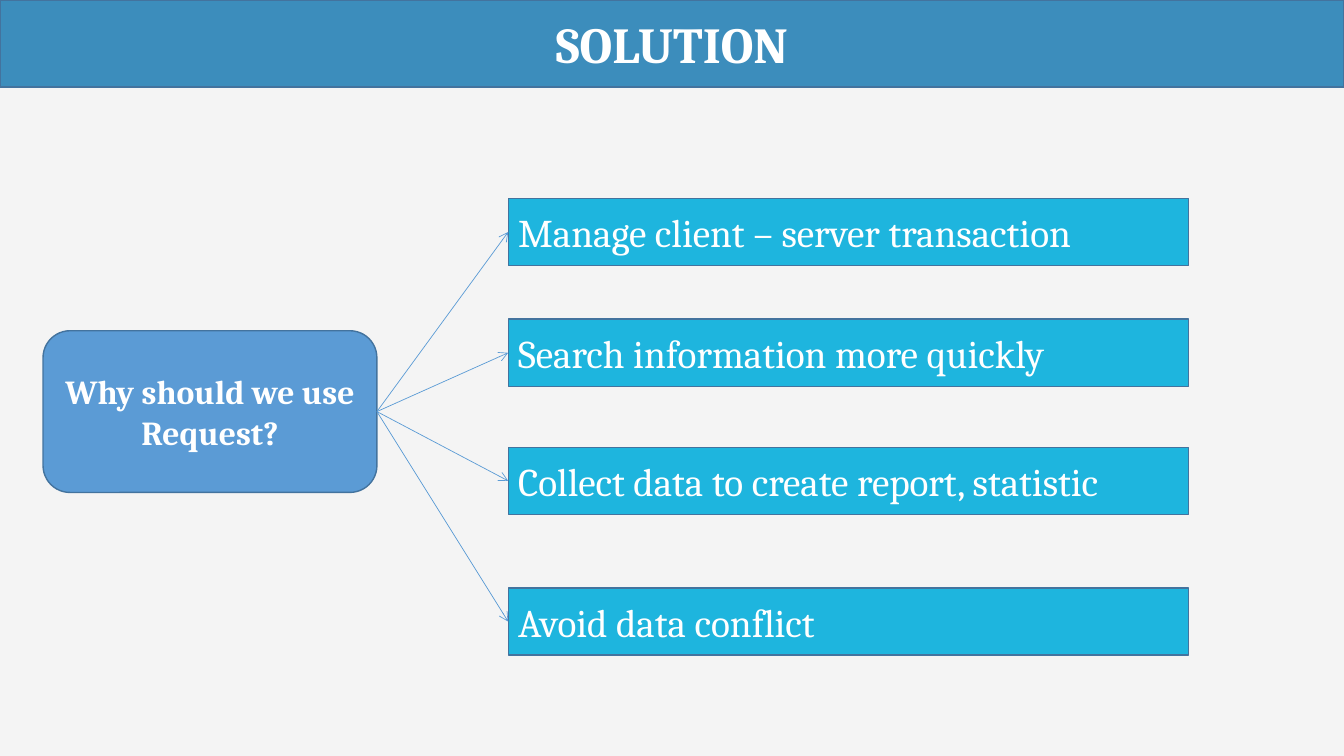
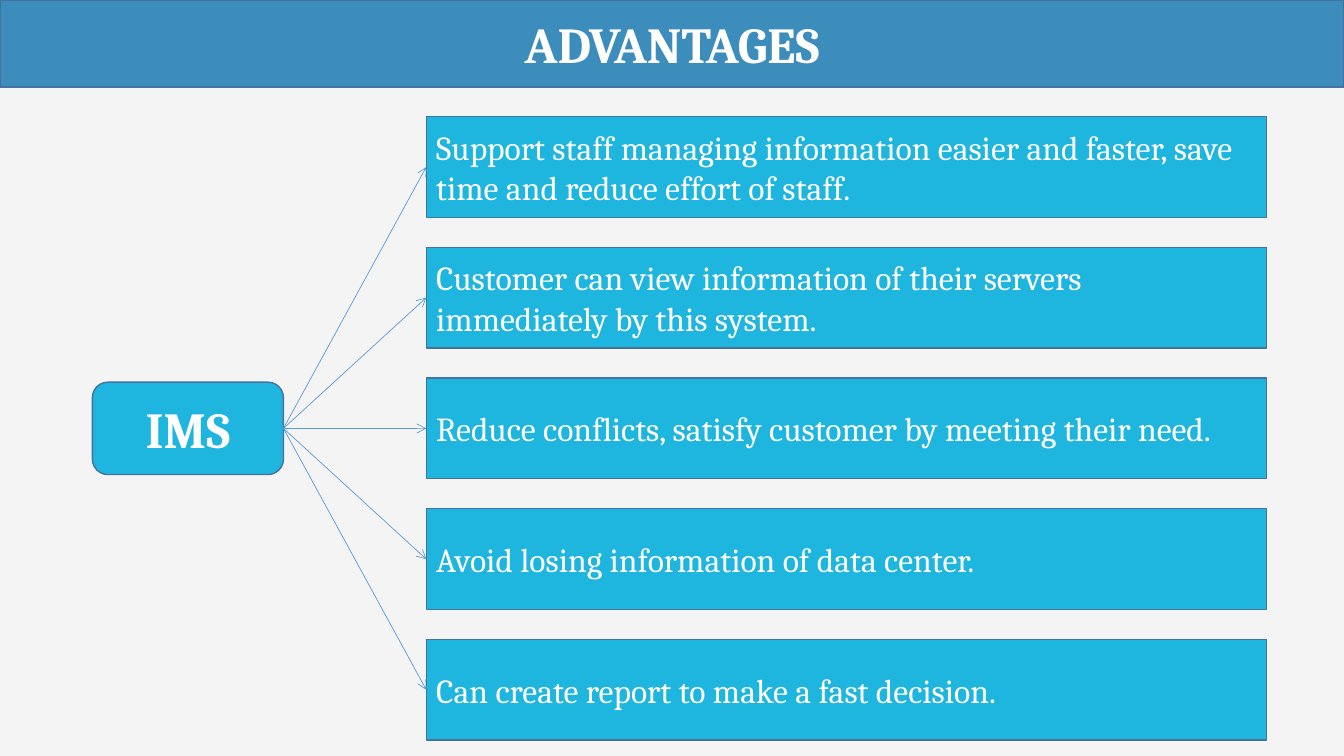
from lxml import etree
from pptx import Presentation
from pptx import util as u
from pptx.dml.color import RGBColor
from pptx.enum import shapes, text
from pptx.oxml.ns import qn

# Shared look
PX = 9525
PAGE_W, PAGE_H, BAND_H = 1280, 720, 83
FONT = "Cambria"
PAPER = RGBColor(0xF4, 0xF4, 0xF4)
BAND = RGBColor(0x3C, 0x8D, 0xBC)
BLUE = RGBColor(0x5B, 0x9B, 0xD5)
CYAN = RGBColor(0x1E, 0xB5, 0xDE)
OUTLINE = RGBColor(0x43, 0x73, 0x9E)
WHITE = RGBColor(0xFF, 0xFF, 0xFF)
TITLE_ONLY = 5


def px(*lengths):
    return [u.Emu(round(length * PX)) for length in lengths]


def set_attributes(target, values):
    for name, value in values.items():
        setattr(target, name, value)


def style_box(box, words, fill, size, bold=False, align=text.PP_ALIGN.CENTER):
    """Fill and outline a box, then write its one paragraph."""
    box.fill.solid()
    box.fill.fore_color.rgb = fill
    box.line.color.rgb = OUTLINE
    box.line.width = u.Pt(1)
    frame = box.text_frame
    frame.text = words
    set_attributes(frame, {
        "word_wrap": True,
        "auto_size": text.MSO_AUTO_SIZE.NONE,
        "vertical_anchor": text.MSO_ANCHOR.MIDDLE,
    })
    para = frame.paragraphs[0]
    para.alignment = align
    span = para.runs[0]
    set_attributes(span.font, {"name": FONT, "size": u.Pt(size), "bold": bold})
    span.font.color.rgb = WHITE


def add_page(deck, title):
    """Add a page whose title fills the top band."""
    page = deck.slides.add_slide(deck.slide_layouts[TITLE_ONLY])
    band = page.shapes.title
    left, top, width, height = px(0, 0, PAGE_W, BAND_H)
    set_attributes(band, {"left": left, "top": top, "width": width, "height": height})
    style_box(band, title, BAND, 36, bold=True)
    return page


def add_box(page, kind, place, words, fill, size, **style):
    box = page.shapes.add_shape(kind, *px(*place))
    box.shadow.inherit = False
    style_box(box, words, fill, size, **style)
    return box


def add_arrow(page, source, target):
    """Join the right side of source to the left side of target."""
    arrow = page.shapes.add_connector(shapes.MSO_CONNECTOR.STRAIGHT, 0, 0, 0, 0)
    arrow.begin_connect(source, 3)
    arrow.end_connect(target, 1)
    arrow.line.color.rgb = BLUE
    arrow.line.width = u.Pt(0.5)
    properties = arrow.line._get_or_add_ln()
    etree.SubElement(properties, qn("a:tailEnd"), type="arrow")
    etree.SubElement(properties.getparent(), qn("a:effectLst"))


def add_fan(page, hub, points, tops, column, size, align):
    """Stack the points in a column and point the hub at each of them."""
    left, width, height = column
    for top, words in zip(tops, points):
        box = add_box(page, shapes.MSO_SHAPE.RECTANGLE, (left, top, width, height),
                      words, CYAN, size, align=align)
        add_arrow(page, hub, box)


def add_solution(deck):
    page = add_page(deck, "SOLUTION")
    hub = add_box(page, shapes.MSO_SHAPE.ROUNDED_RECTANGLE, (41, 315, 318, 154),
                  "Why should we use Request?", BLUE, 24, bold=True)
    reasons = [
        "Manage client – server transaction",
        "Search information more quickly",
        "Collect data to create report, statistic",
        "Avoid data conflict",
    ]
    add_fan(page, hub, reasons, (189, 304, 426, 560), (484, 648, 64), 28,
            text.PP_ALIGN.JUSTIFY)


def add_advantages(deck):
    page = add_page(deck, "ADVANTAGES")
    hub = add_box(page, shapes.MSO_SHAPE.ROUNDED_RECTANGLE, (88, 364, 182, 88),
                  "IMS", CYAN, 36, bold=True)
    benefits = [
        "Support staff managing information easier and faster, save time and reduce "
        "effort of staff.",
        "Customer can view information of their servers immediately by this system.",
        "Reduce conflicts, satisfy customer by meeting their need.",
        "Avoid losing information of data center.",
        "Can create report to make a fast decision.",
    ]
    # Equal steps from the first box to the last
    first, last = 111, 609
    step = (last - first) / (len(benefits) - 1)
    tops = [first + step * row for row in range(len(benefits))]
    add_fan(page, hub, benefits, tops, (406, 800, 96), 24, text.PP_ALIGN.LEFT)


def main():
    deck = Presentation()
    deck.slide_width, deck.slide_height = px(PAGE_W, PAGE_H)
    backdrop = deck.slide_master.background.fill
    backdrop.solid()
    backdrop.fore_color.rgb = PAPER
    add_solution(deck)
    add_advantages(deck)
    deck.save("out.pptx")


if __name__ == "__main__":
    main()
